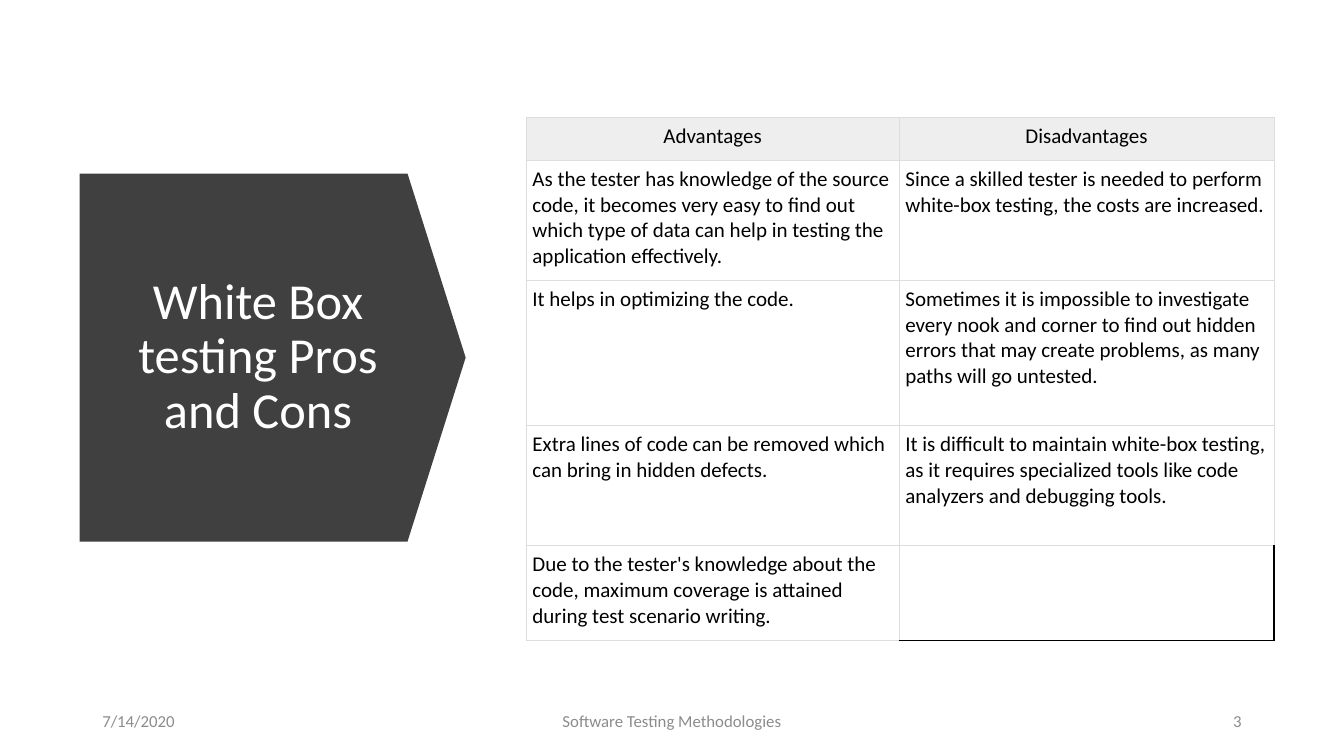
import pptx
import pptx.dml.color
import pptx.enum.shapes
import pptx.enum.text
import pptx.oxml
import pptx.oxml.ns
import pptx.util

Pt = pptx.util.Pt
RGBColor = pptx.dml.color.RGBColor
ALIGN = pptx.enum.text.PP_ALIGN
ANCHOR = pptx.enum.text.MSO_ANCHOR

CHARCOAL = RGBColor(0x40, 0x40, 0x40)
WHITE = RGBColor(0xFF, 0xFF, 0xFF)
BLACK = RGBColor(0x00, 0x00, 0x00)
HEADER_GREY = RGBColor(0xEE, 0xEE, 0xEE)
RULE_GREY = RGBColor(0xDD, 0xDD, 0xDD)
FOOTER_GREY = RGBColor(0x8C, 0x8C, 0x8C)

PROS_AND_CONS = [
    ("Advantages", "Disadvantages"),
    ("As the tester has knowledge of the source code, it becomes very easy to find out "
     "which type of data can help in testing the application effectively.",
     "Since a skilled tester is needed to perform white-box testing, the costs are increased."),
    ("It helps in optimizing the code.",
     "Sometimes it is impossible to investigate every nook and corner to find out hidden "
     "errors that may create problems, as many paths will go untested."),
    ("Extra lines of code can be removed which can bring in hidden defects.",
     "It is difficult to maintain white-box testing, as it requires specialized tools like "
     "code analyzers and debugging tools."),
    ("Due to the tester's knowledge about the code, maximum coverage is attained during "
     "test scenario writing.", ""),
]
COLUMN_WIDTHS = (266.4, 267.84)
ROW_HEIGHTS = (30.96, 85.68, 103.9, 85.68, 67.68)


def set_border(cell, side, color, width):
    """Draw one side (L, R, T or B) of a table cell."""
    cell._tc.get_or_add_tcPr().append(pptx.oxml.parse_xml(
        f'<a:ln{side} {pptx.oxml.ns.nsdecls("a")} w="{Pt(width)}"><a:solidFill>'
        f'<a:srgbClr val="{color}"/></a:solidFill></a:ln{side}>'))


class SlideBuilder:
    font = "Calibri"

    def __init__(self, slide):
        self.slide = slide

    def fill_frame(self, frame, text, size, color, align, spacing=None):
        paragraph = frame.paragraphs[0]
        paragraph.alignment = align
        paragraph.line_spacing = spacing
        run = paragraph.add_run()
        run.text = text
        for name, value in {"name": self.font, "size": Pt(size)}.items():
            setattr(run.font, name, value)
        run.font.color.rgb = color

    def text(self, box, text, size, color, align, spacing=None):
        frame = self.slide.shapes.add_textbox(*map(Pt, box)).text_frame
        frame.word_wrap = True
        frame.vertical_anchor = ANCHOR.MIDDLE
        self.fill_frame(frame, text, size, color, align, spacing)

    def right_arrow(self, box, color):
        """Block arrow with a full-width shaft, turned to point right."""
        arrow = self.slide.shapes.add_shape(
            pptx.enum.shapes.MSO_SHAPE.DOWN_ARROW, *map(Pt, box))
        arrow.rotation = 270
        arrow.adjustments[0] = 1
        arrow.adjustments[1] = 0.158
        arrow.shadow.inherit = False
        arrow.fill.solid()
        arrow.fill.fore_color.rgb = color
        arrow.line.fill.background()

    def table(self, left, top, rows, widths, heights):
        table = self.slide.shapes.add_table(
            len(rows), len(widths), Pt(left), Pt(top),
            Pt(sum(widths)), Pt(sum(heights))).table
        table.first_row = table.horz_banding = False
        for column, width in zip(table.columns, widths):
            column.width = Pt(width)
        for index, (row, height, texts) in enumerate(zip(table.rows, heights, rows)):
            row.height = Pt(height)
            for cell, text in zip(row.cells, texts):
                self.cell(cell, text, header=index == 0)

    def cell(self, cell, text, header):
        for side in ("left", "right", "top", "bottom"):
            setattr(cell, f"margin_{side}", Pt(4.5))
        for side in "LRTB":
            if text or side in "LT":
                set_border(cell, side, RULE_GREY, 0.6)
            else:
                set_border(cell, side, BLACK, 1)
        if header:
            cell.fill.solid()
            cell.fill.fore_color.rgb = HEADER_GREY
        else:
            cell.fill.background()
        if text:
            self.fill_frame(cell.text_frame, text, 15, BLACK,
                            ALIGN.CENTER if header else ALIGN.LEFT)


def main():
    deck = pptx.Presentation()
    deck.slide_width, deck.slide_height = Pt(960), Pt(540)
    builder = SlideBuilder(deck.slides.add_slide(deck.slide_layouts[6]))

    builder.right_arrow((63.36, 117.5, 262.8, 275.76), CHARCOAL)
    builder.text((80.64, 154.8, 207.36, 200.88), "White Box testing Pros and Cons",
                 36, WHITE, ALIGN.CENTER, 0.9)
    builder.table(375.84, 83.5, PROS_AND_CONS, COLUMN_WIDTHS, ROW_HEIGHTS)

    for left, width, text, align in (
            (66, 216, "7/14/2020", ALIGN.LEFT),
            (318, 324, "Software Testing Methodologies", ALIGN.CENTER),
            (678, 216, "3", ALIGN.RIGHT)):
        builder.text((left, 500.5, width, 28.75), text, 12, FOOTER_GREY, align)

    deck.save("out.pptx")


if __name__ == "__main__":
    main()
